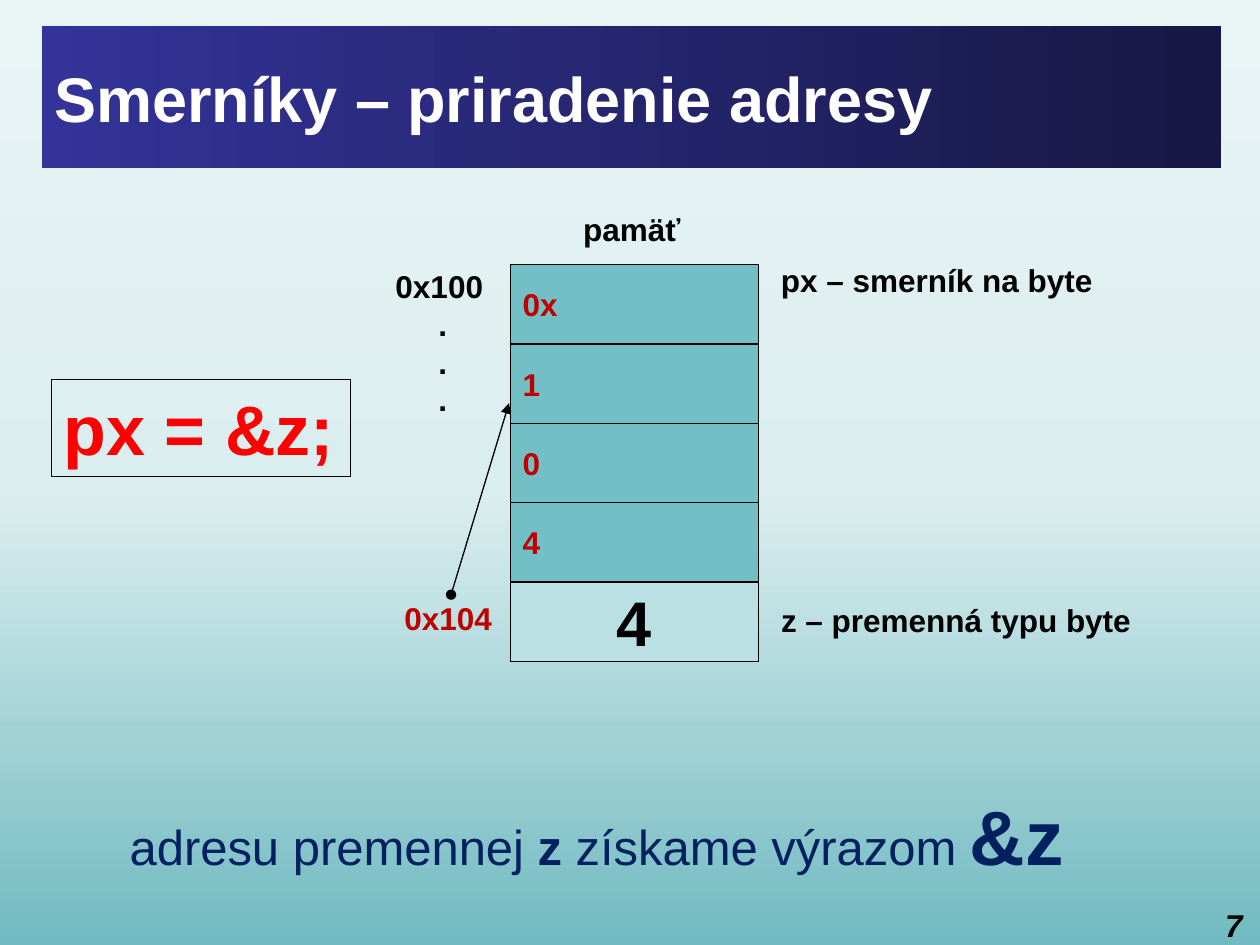
import copy

import pptx
import pptx.dml.color
import pptx.enum.shapes
import pptx.enum.text
import pptx.oxml
import pptx.util
from pptx.enum.text import MSO_ANCHOR, PP_ALIGN
from pptx.util import Inches, Pt


def color(code):
    return pptx.dml.color.RGBColor.from_string(code)


def write(shape, text, size=18, code="000000", wrap=False):
    frame = shape.text_frame
    frame.word_wrap = wrap
    frame.text = text
    for para in frame.paragraphs:
        para.alignment = PP_ALIGN.LEFT
        font = para.font
        font.name, font.size, font.bold = "Arial", Pt(size), True
        font.color.rgb = color(code)
    return frame


deck = pptx.Presentation()
deck.slide_width, deck.slide_height = Inches(10), Inches(7.5)
slide = deck.slides.add_slide(deck.slide_layouts[5])
shapes = slide.shapes

# Background: three stops, dark at the bottom
back = slide.background.fill
back.gradient()
back.gradient_angle = 90
stops = slide._element.xpath(".//p:bg//a:gsLst")[0]
stops.append(copy.deepcopy(stops[-1]))
for stop, (place, code) in zip(
    back.gradient_stops, [(0, "71BAC1"), (0.48, "DBEEEF"), (1, "E9F4F5")]
):
    stop.position = place
    stop.color.rgb = color(code)

# Title bar
title = shapes.title
title.left, title.top = Inches(0.33), Inches(0.21)
title.width, title.height = Inches(9.36), Inches(1.12)
title.fill.gradient()
title.fill.gradient_angle = 0
for stop, place, code in zip(title.fill.gradient_stops, (0, 1), ("333399", "171745")):
    stop.position = place
    stop.color.rgb = color(code)
frame = write(title, "Smerníky – priradenie adresy", 36, "FFFFFF", True)
frame.vertical_anchor = MSO_ANCHOR.MIDDLE

# Memory cells: four bytes of px, then z
pitch = 0.63
for row, text in enumerate(["0x", "1", "0", "4", "4"]):
    last = row == 4
    cell = shapes.add_shape(
        pptx.enum.shapes.MSO_SHAPE.RECTANGLE,
        Inches(4.05), Inches(2.1 + row * pitch), Inches(1.97), Inches(pitch),
    )
    cell.shadow.inherit = False
    cell.fill.solid()
    cell.fill.fore_color.rgb = color("BBE0E3" if last else "72BFC5")
    cell.line.color.rgb = color("000000")
    cell.line.width = Pt(0.75)
    frame = write(cell, text, 36 if last else 18, "000000" if last else "C00000")
    frame.vertical_anchor = MSO_ANCHOR.MIDDLE
    if last:
        frame.paragraphs[0].alignment = PP_ALIGN.CENTER

# Arrow from the address of z to the pointer
arrow = shapes.add_connector(
    pptx.enum.shapes.MSO_CONNECTOR.STRAIGHT,
    Inches(3.58), Inches(4.72), Inches(4.04), Inches(3.2),
)
arrow.line.color.rgb = color("000000")
arrow.line.width = Pt(0.75)
line = arrow.line._get_or_add_ln()
for tag, kind in (("a:headEnd", "oval"), ("a:tailEnd", "triangle")):
    end = pptx.oxml.xmlchemy.OxmlElement(tag)
    end.set("type", kind)
    line.append(end)
arrow._element.spPr.append(pptx.oxml.xmlchemy.OxmlElement("a:effectLst"))

# Labels
for text, left, top, width, height, size, code in [
    ("pamäť", 4.53, 1.62, 0.98, 0.4, 18, "000000"),
    ("px – smerník na byte", 6.1, 2.02, 2.7, 0.4, 18, "000000"),
    ("z – premenná typu byte", 6.1, 4.72, 3.01, 0.4, 18, "000000"),
    ("px = &z;", 0.41, 3.01, 2.37, 0.77, 40, "FF0000"),
]:
    label = shapes.add_textbox(Inches(left), Inches(top), Inches(width), Inches(height))
    write(label, text, size, code)

# Frame around the statement, the last label
label.line.color.rgb = color("000000")
label.line.width = Pt(0.75)

# Address column
box = shapes.add_textbox(Inches(3.04), Inches(2.07), Inches(1.02), Inches(3.43))
paras = write(box, "0x100\n.\n.\n.\n0x104", wrap=True).paragraphs
for para in paras[1:4]:
    para._p.get_or_add_pPr().set("marL", str(Inches(0.34)))
paras[4]._p.get_or_add_pPr().set("marL", str(Inches(0.07)))
paras[4].space_before = Pt(103.5)
paras[4].font.color.rgb = color("C00000")

# Conclusion
box = shapes.add_textbox(Inches(0.93), Inches(6.29), Inches(8.01), Inches(0.77))
box.text_frame.word_wrap = True
para = box.text_frame.paragraphs[0]
para.line_spacing = 0.9
for text, size, bold in [
    ("adresu premennej ", 28, False),
    ("z ", 28, True),
    ("získame výrazom ", 28, False),
    ("&z", 44, True),
]:
    run = para.add_run()
    run.text = text
    run.font.size, run.font.bold = Pt(size), bold
para.font.name = "Arial"
para.font.color.rgb = color("002060")

# Page number
box = shapes.add_textbox(Inches(9.43), Inches(7.14), Inches(0.53), Inches(0.31))
para = write(box, "7", wrap=True).paragraphs[0]
para.alignment = PP_ALIGN.RIGHT
para.font.italic = True

deck.save("out.pptx")
